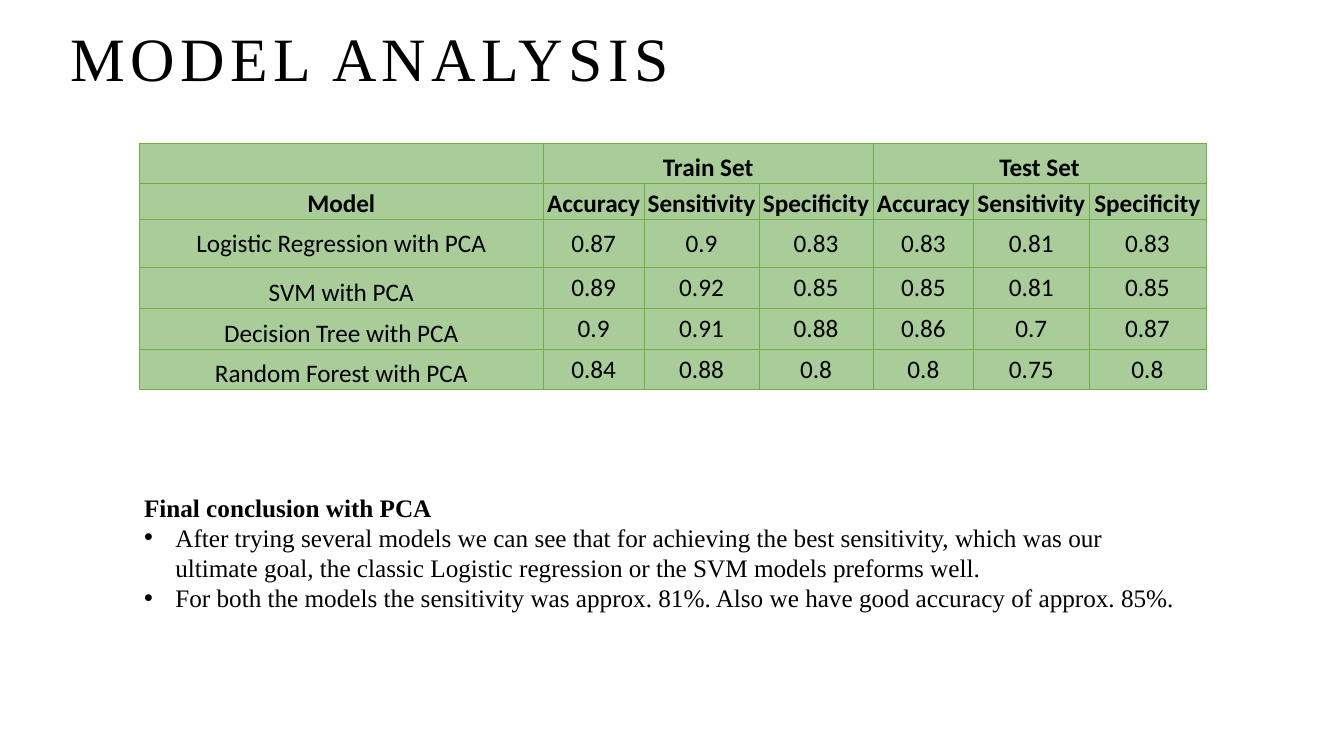
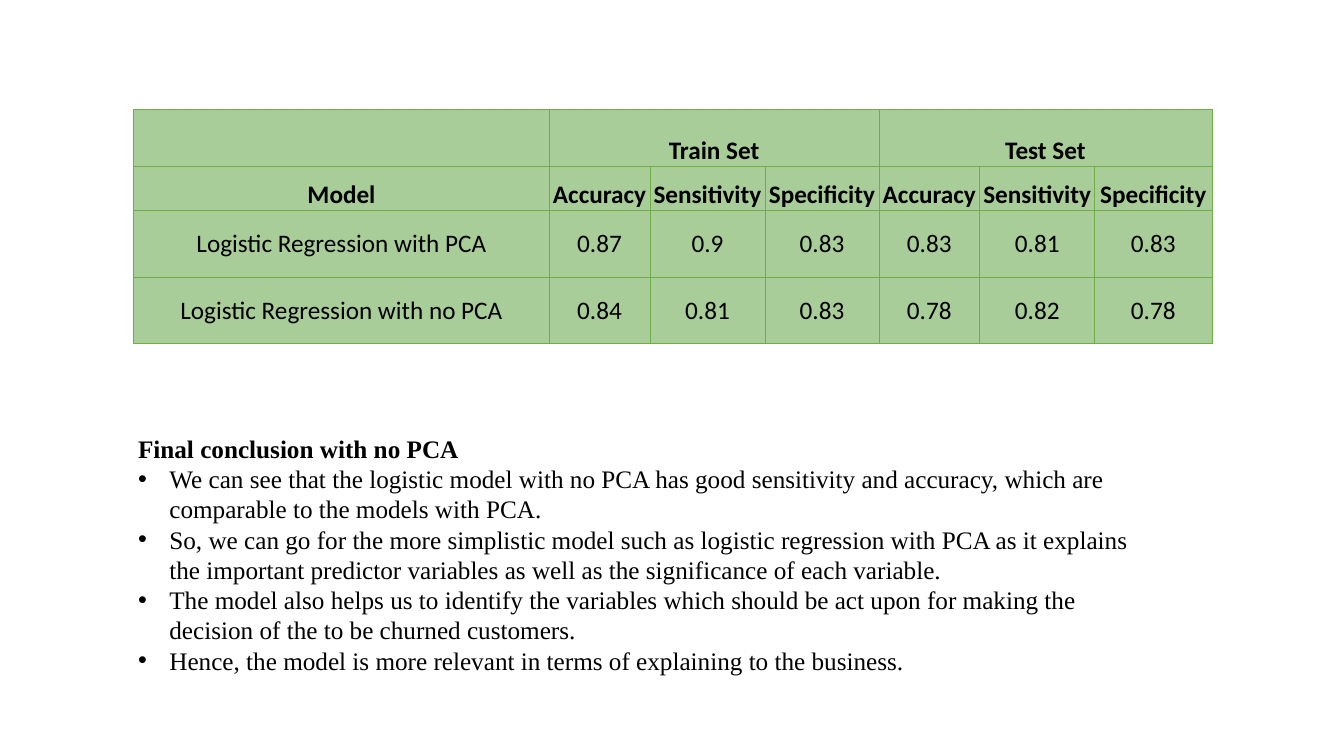
from lxml import etree
from pptx import Presentation
from pptx import util as u
from pptx.dml.color import RGBColor
from pptx.enum import text
from pptx.oxml import ns

HUES = {"ink": "000000", "cell": "A9CD99", "edge": "70AD47"}
FONTS = {"prose": "Times New Roman", "grid": "Calibri"}
BODY = 18
HEAD = 44
INDENT = u.Cm(0.79)
COLS = [2.54, 2.9, 2.87, 2.54, 2.9, 2.95]
SETS = ["Train Set", "Test Set"]
SCORES = ["Accuracy", "Sensitivity", "Specificity"]


def hue(name):
    return RGBColor.from_string(HUES[name])


def child(node, tag, **attrs):
    return etree.SubElement(node, ns.qn(tag), **attrs)


class Deck:
    """Holds the shared style and the current slide."""

    def __init__(self):
        self.deck = Presentation()
        self.deck.slide_width = u.Cm(33.87)
        self.deck.slide_height = u.Cm(19.05)
        self.page = None

    def start(self, title=None):
        """Add a slide, with a title placeholder only if it has a title."""
        layout = self.deck.slide_layouts[5 if title else 6]
        self.page = self.deck.slides.add_slide(layout)
        if title:
            self.title(title)

    def run(self, para, words, font, size=BODY, bold=False):
        run = para.add_run()
        run.text = words
        run.font.name = FONTS[font]
        run.font.size = u.Pt(size)
        run.font.bold = bold
        run.font.color.rgb = hue("ink")
        return run

    def title(self, words):
        box = self.page.shapes.title
        box.left, box.top = u.Cm(1.75), u.Cm(0)
        box.width, box.height = u.Cm(29.21), u.Cm(2.21)
        frame = box.text_frame
        frame.auto_size = text.MSO_AUTO_SIZE.NONE
        frame.vertical_anchor = text.MSO_ANCHOR.TOP
        frame.margin_left = frame.margin_right = frame.margin_bottom = 0
        frame.margin_top = u.Cm(0.3)
        para = frame.paragraphs[0]
        para.alignment = text.PP_ALIGN.LEFT
        para.line_spacing = u.Pt(58.3)
        para.space_before = u.Pt(8.3)
        para._p.get_or_add_pPr().set("marL", str(u.Cm(0.03)))
        run = self.run(para, words, "prose", HEAD)
        run.font._element.set("spc", "390")

    def notes(self, left, top, width, height, head, points):
        """Add a bold heading followed by bullet points."""
        box = self.page.shapes.add_textbox(
            u.Cm(left), u.Cm(top), u.Cm(width), u.Cm(height))
        frame = box.text_frame
        frame.word_wrap = True
        self.run(frame.paragraphs[0], head, "prose", bold=True)
        for point in points:
            para = frame.add_paragraph()
            props = para._p.get_or_add_pPr()
            props.set("marL", str(INDENT))
            props.set("indent", str(-INDENT))
            child(props, "a:buFont", typeface="Arial")
            child(props, "a:buChar", char="•")
            self.run(para, point, "prose")

    def cell(self, cell, words, bold, low):
        cell.margin_left = cell.margin_right = cell.margin_top = u.Cm(0.02)
        cell.margin_bottom = 0
        anchor = text.MSO_ANCHOR
        cell.vertical_anchor = anchor.BOTTOM if low else anchor.MIDDLE
        props = cell._tc.get_or_add_tcPr()
        for side in ("a:lnL", "a:lnR", "a:lnT", "a:lnB"):
            line = child(props, side, w=str(u.Pt(0.5)))
            fill = child(line, "a:solidFill")
            child(fill, "a:srgbClr", val=HUES["edge"])
        cell.fill.solid()
        cell.fill.fore_color.rgb = hue("cell")
        para = cell.text_frame.paragraphs[0]
        para.alignment = text.PP_ALIGN.CENTER
        if words:
            self.run(para, words, "grid", bold=bold)

    def table(self, left, top, first, rows, models, low=()):
        """Add the score table; low lists the models set at the cell's foot."""
        cols = [first] + COLS
        data = [[""], ["Model"]]
        for name in SETS:
            data[0] += [name, "", ""]
            data[1] += SCORES
        data += [[name] + scores.split() for name, scores in models.items()]
        grid = self.page.shapes.add_table(
            len(rows), len(cols), u.Cm(left), u.Cm(top),
            u.Cm(sum(cols)), u.Cm(sum(rows))).table
        grid.first_row = grid.horz_banding = False
        for col, width in zip(grid.columns, cols):
            col.width = u.Cm(width)
        for row, height in zip(grid.rows, rows):
            row.height = u.Cm(height)
        for r, line in enumerate(data):
            for c, words in enumerate(line):
                self.cell(grid.cell(r, c), words, r < 2, r < 2 or words in low)
        for c in (1, 4):
            grid.cell(0, c).merge(grid.cell(0, c + 2))


def main():
    deck = Deck()

    deck.start("MODEL ANALYSIS")
    deck.notes(3.38, 12.27, 26.82, 4.11, "Final conclusion with PCA", [
        "After trying several models we can see that for achieving the best "
        "sensitivity, which was our ultimate goal, the classic Logistic "
        "regression or the SVM models preforms well.",
        "For both the models the sensitivity was approx. 81%. Also we have "
        "good accuracy of approx. 85%.",
    ])
    deck.table(3.51, 3.6, 10.18, [1.03, 0.89, 1.21, 1.03, 1.03, 1.03], {
        "Logistic Regression with PCA": "0.87 0.9 0.83 0.83 0.81 0.83",
        "SVM with PCA": "0.89 0.92 0.85 0.85 0.81 0.85",
        "Decision Tree with PCA": "0.9 0.91 0.88 0.86 0.7 0.87",
        "Random Forest with PCA": "0.84 0.88 0.8 0.8 0.75 0.8",
    }, low=("SVM with PCA", "Decision Tree with PCA",
            "Random Forest with PCA"))

    deck.start()
    deck.table(3.37, 2.75, 10.47, [1.43, 1.12, 1.68, 1.68], {
        "Logistic Regression with PCA": "0.87 0.9 0.83 0.83 0.81 0.83",
        "Logistic Regression with no PCA": "0.84 0.81 0.83 0.78 0.82 0.78",
    })
    deck.notes(3.23, 10.79, 26.24, 6.4, "Final conclusion with no PCA", [
        "We can see that the logistic model with no PCA has good sensitivity "
        "and accuracy, which are comparable to the models with PCA.",
        "So, we can go for the more simplistic model such as logistic "
        "regression with PCA as it explains the important predictor "
        "variables as well as the significance of each variable.",
        "The model also helps us to identify the variables which should be "
        "act upon for making the decision of the to be churned customers.",
        "Hence, the model is more relevant in terms of explaining to the "
        "business.",
    ])

    deck.deck.save("out.pptx")


if __name__ == "__main__":
    main()
